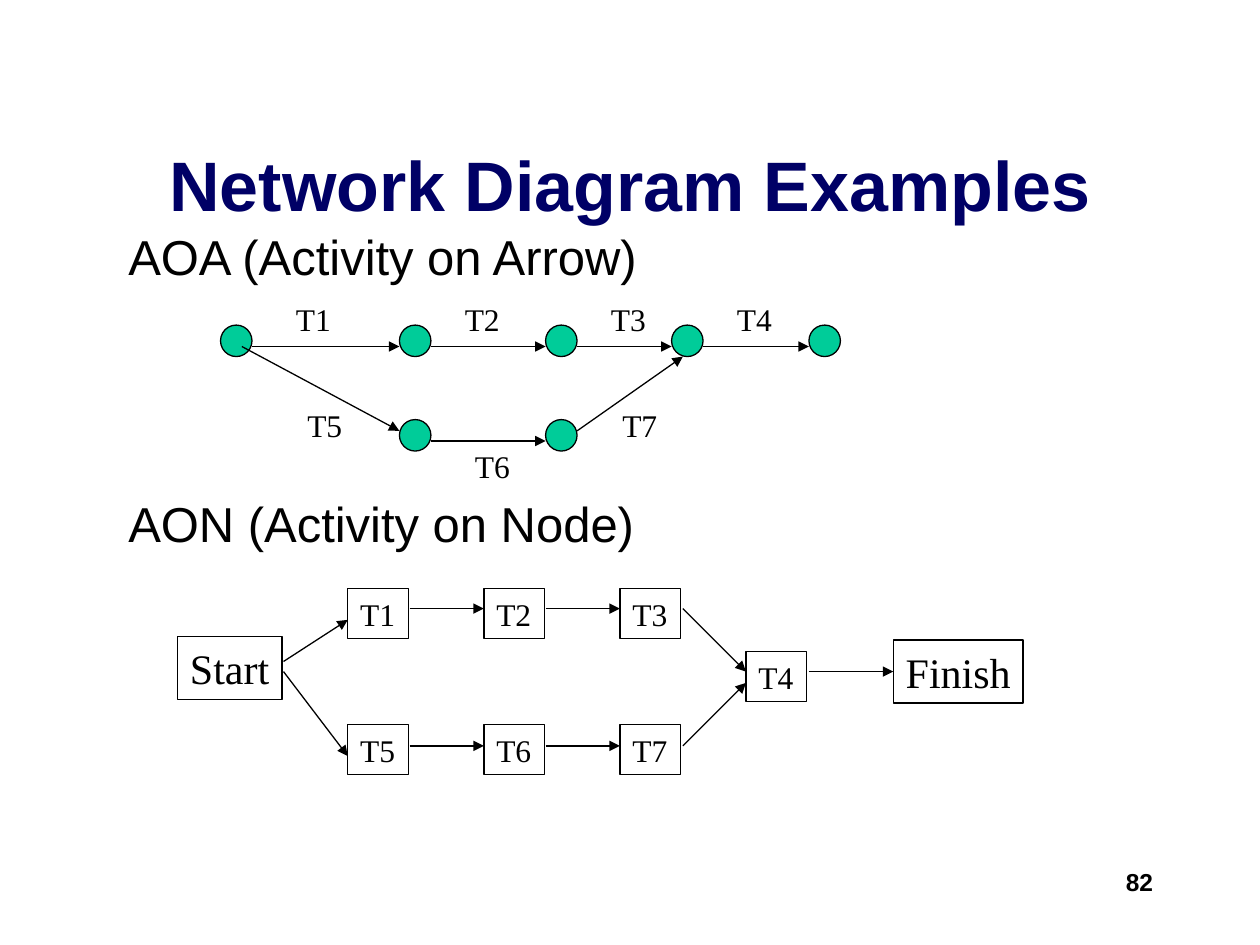
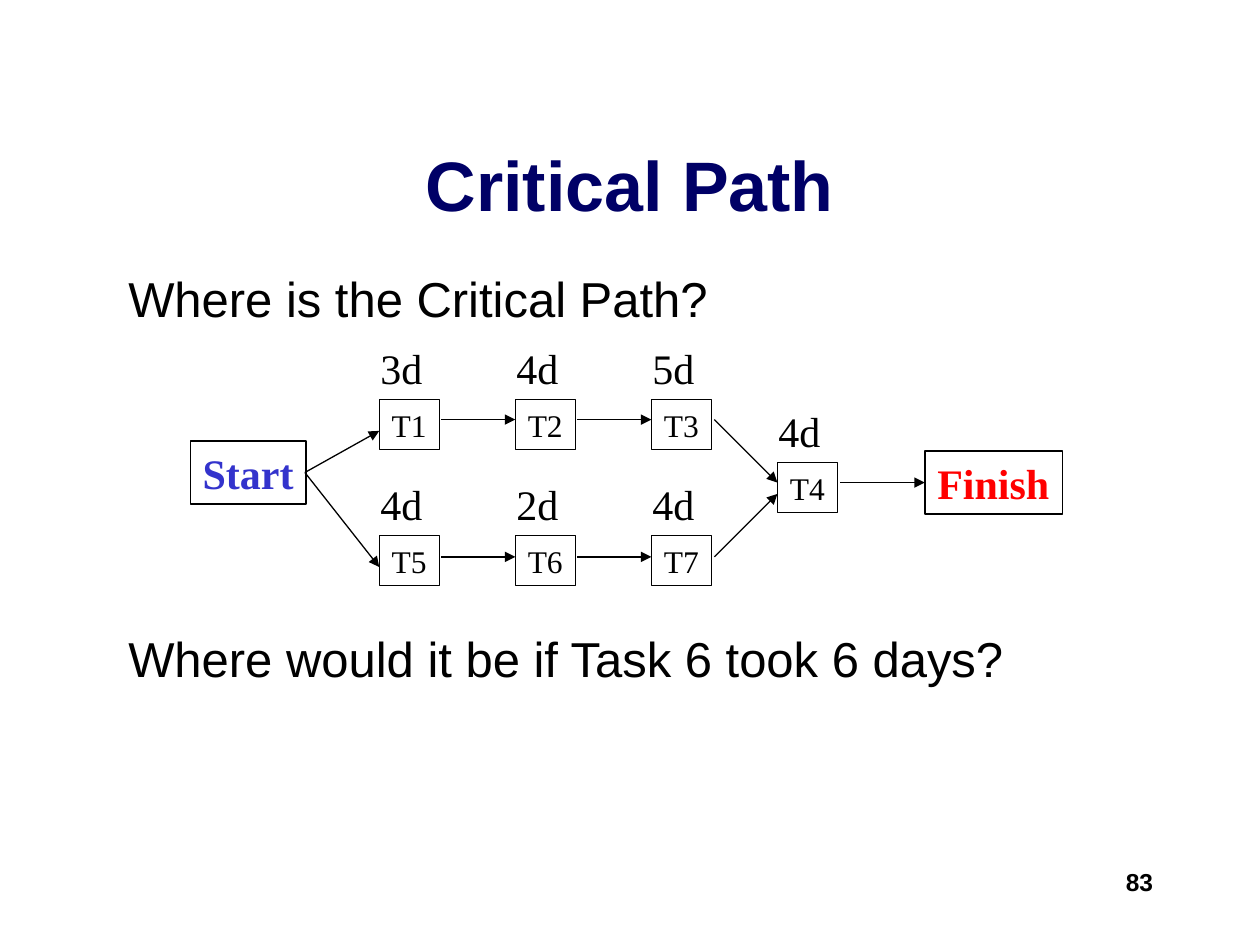
"""Build two slides on network diagrams and the critical path."""
from lxml.etree import SubElement
from pptx import Presentation
from pptx.dml.color import RGBColor
from pptx.enum.shapes import MSO_CONNECTOR, MSO_SHAPE
from pptx.enum.text import MSO_ANCHOR, PP_ALIGN
from pptx.oxml.ns import qn
from pptx.util import Inches, Pt

BLACK, NAVY, BLUE, RED, GREEN = "000000", "000066", "3333CC", "FF0000", "00CC99"
SANS, SERIF = "Arial", "Times New Roman"
LINE_WIDTH = Pt(0.75)
color = RGBColor.from_string


def add_text(slide, lines, place, size, font=SERIF, ink=BLACK, bold=False,
             align=PP_ALIGN.LEFT, anchor=MSO_ANCHOR.TOP, wrap=False, boxed=False, gap=0):
    """Write lines at a place, with an outline when boxed."""
    area = [Inches(length) for length in place]
    if boxed:
        holder = slide.shapes.add_shape(MSO_SHAPE.RECTANGLE, *area)
        holder.shadow.inherit = False
        holder.fill.background()
        holder.line.color.rgb = color(BLACK)
        holder.line.width = LINE_WIDTH
    else:
        holder = slide.shapes.add_textbox(*area)
    frame = holder.text_frame
    frame.text = "\n".join(lines)
    frame.word_wrap = wrap
    frame.vertical_anchor = anchor
    for index, paragraph in enumerate(frame.paragraphs):
        paragraph.alignment = align
        if index:
            paragraph.space_before = Pt(gap)
        for run in paragraph.runs:
            run.font.name = font
            run.font.size = Pt(size)
            run.font.bold = bold
            run.font.color.rgb = color(ink)


def add_arrow(slide, *ends):
    """Draw an arrow from the first point to the second."""
    arrow = slide.shapes.add_connector(
        MSO_CONNECTOR.STRAIGHT, *[Inches(length) for length in ends])
    arrow.line.color.rgb = color(BLACK)
    arrow.line.width = LINE_WIDTH
    SubElement(arrow.line._get_or_add_ln(), qn("a:tailEnd"), type="triangle")
    SubElement(arrow._element.spPr, qn("a:effectLst"))


prs = Presentation()
prs.slide_width, prs.slide_height = Inches(10), Inches(7.5)

pages = [
    ("Network Diagram Examples", "82", 1.75, 119,
     ["AOA (Activity on Arrow)", "AON (Activity on Node)"]),
    ("Critical Path", "83", 2.08, 172,
     ["Where is the Critical Path?", "Where would it be if Task 6 took 6 days?"]),
]
slides = []
for title, number, body_top, gap, body in pages:
    slide = prs.slides.add_slide(prs.slide_layouts[6])
    add_text(slide, body, (0.92, body_top, 8.5, 6.85 - body_top), 28, SANS, wrap=True, gap=gap)
    add_text(slide, [title], (0.75, 0.83, 8.5, 1.25), 40, SANS, NAVY, True,
             PP_ALIGN.CENTER, MSO_ANCHOR.MIDDLE, True)
    add_text(slide, [number], (7.17, 6.83, 2.08, 0.5), 14, SANS, bold=True,
             align=PP_ALIGN.RIGHT, wrap=True)
    slides.append(slide)
examples, critical = slides

upper_events = [(left, 2.58) for left in (1.75, 3.17, 4.33, 5.33, 6.42)]
lower_events = [(left, 3.33) for left in (3.17, 4.33)]
for left, top in upper_events + lower_events:
    event = examples.shapes.add_shape(
        MSO_SHAPE.OVAL, Inches(left), Inches(top), Inches(0.25), Inches(0.25))
    event.shadow.inherit = False
    event.fill.solid()
    event.fill.fore_color.rgb = color(GREEN)
    event.line.color.rgb = color(BLACK)
    event.line.width = LINE_WIDTH

for events in (upper_events, lower_events):
    for (left, top), (next_left, _) in zip(events, events[1:]):
        add_arrow(examples, left + 0.25, top + 0.17, next_left, top + 0.17)
add_arrow(examples, 1.92, 2.75, 3.17, 3.42)
add_arrow(examples, 4.58, 3.42, 5.42, 2.83)

activities = [("T1", 2.25, 2.33), ("T2", 3.59, 2.33), ("T3", 4.75, 2.33), ("T4", 5.75, 2.33),
              ("T5", 2.34, 3.17), ("T6", 3.67, 3.5), ("T7", 4.84, 3.17)]
for activity, left, top in activities:
    add_text(examples, [activity], (left, top, 0.48, 0.4), 18)

tasks = {"T4": (3.16, 0.5)}
for row, names in enumerate((("T1", "T2", "T3"), ("T5", "T6", "T7"))):
    for column, name in enumerate(names):
        tasks[name] = (column * 1.08, row * 1.08)

durations = {"T1": "3d", "T2": "4d", "T3": "5d", "T4": "4d", "T5": "4d", "T6": "2d", "T7": "4d"}
networks = [
    (examples, 2.76, 4.67, (1.41, 5.05, 0.83, 0.5), 1.03, BLACK, BLACK, False,
     (2.25, 5.25), (2.25, 5.33), {}),
    (critical, 3.01, 3.17, (1.51, 3.5, 0.92, 0.5), 1.09, BLUE, RED, True,
     (2.42, 3.75), (2.42, 3.75), durations),
]
for (slide, x, y, start, finish_width, start_ink, finish_ink, bold,
     upper_exit, lower_exit, labels) in networks:
    add_text(slide, ["Start"], start, 24, ink=start_ink, bold=bold, boxed=True)
    add_text(slide, ["Finish"], (x + 4.33, y + 0.41, finish_width, 0.5), 24,
             ink=finish_ink, bold=bold, boxed=True)
    for name, (dx, dy) in tasks.items():
        add_text(slide, [name], (x + dx, y + dy, 0.48, 0.4), 18, boxed=True)
        if name in labels:
            add_text(slide, [labels[name]], (x + dx - 0.09, y + dy - 0.5, 0.53, 0.5), 24)

    add_arrow(slide, *upper_exit, x, y + 0.25)
    add_arrow(slide, *lower_exit, x, y + 1.33)
    for dy, merge_dy in ((0.16, 0.66), (1.25, 0.75)):
        for dx in (0.49, 1.57):
            add_arrow(slide, x + dx, y + dy, x + dx + 0.59, y + dy)
        add_arrow(slide, x + 2.66, y + dy, x + 3.16, y + merge_dy)
    add_arrow(slide, x + 3.66, y + 0.66, x + 4.33, y + 0.66)

prs.save("out.pptx")
